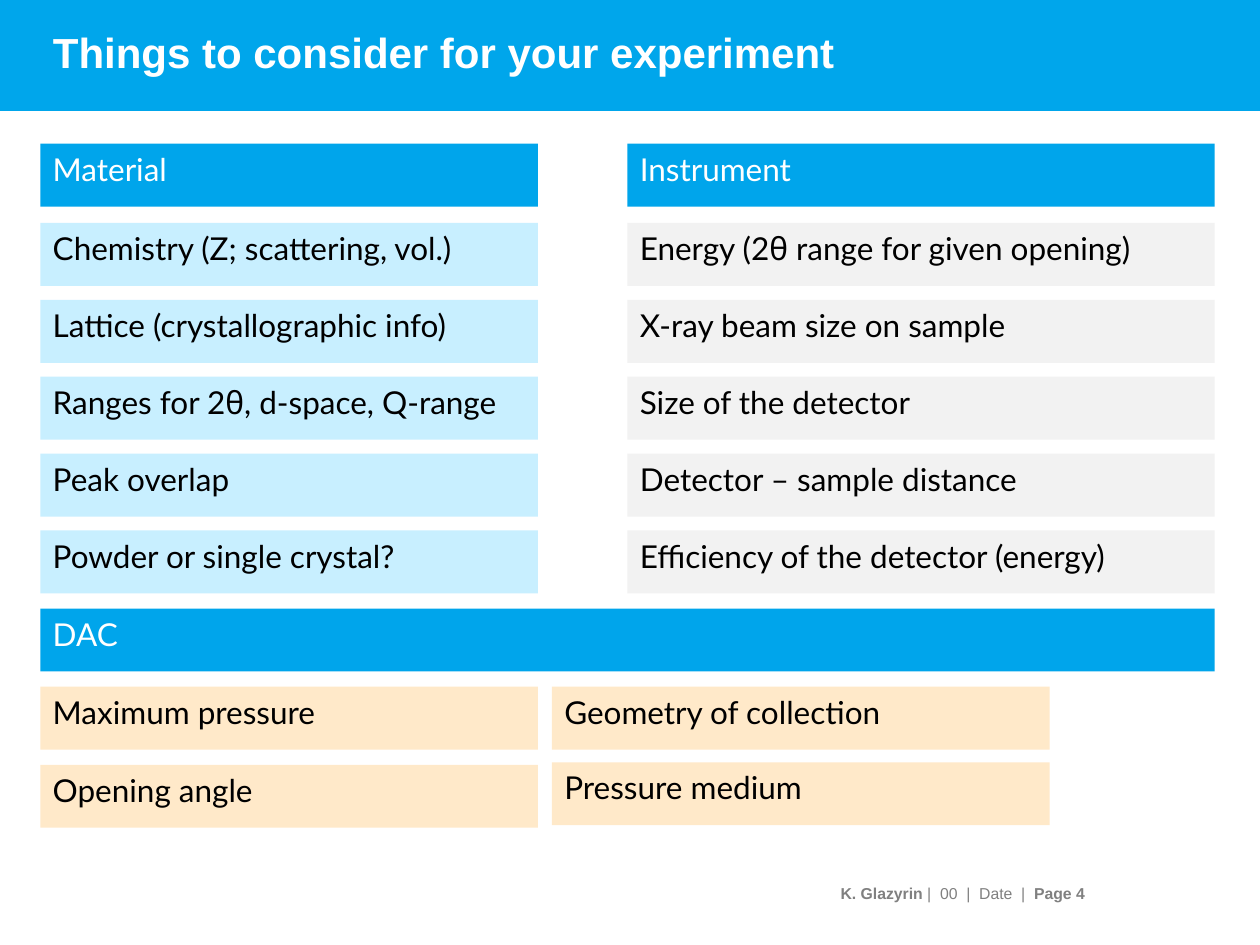
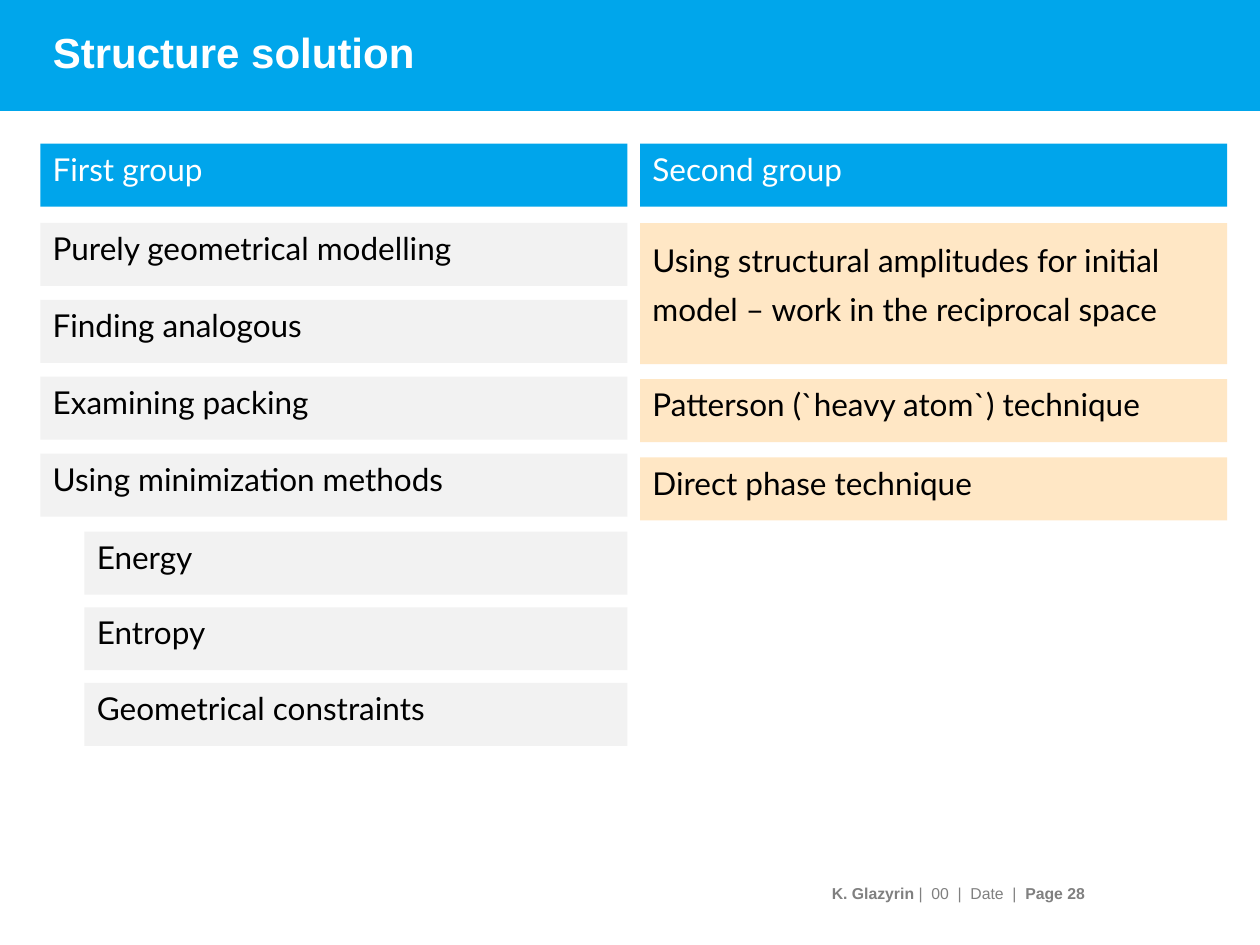
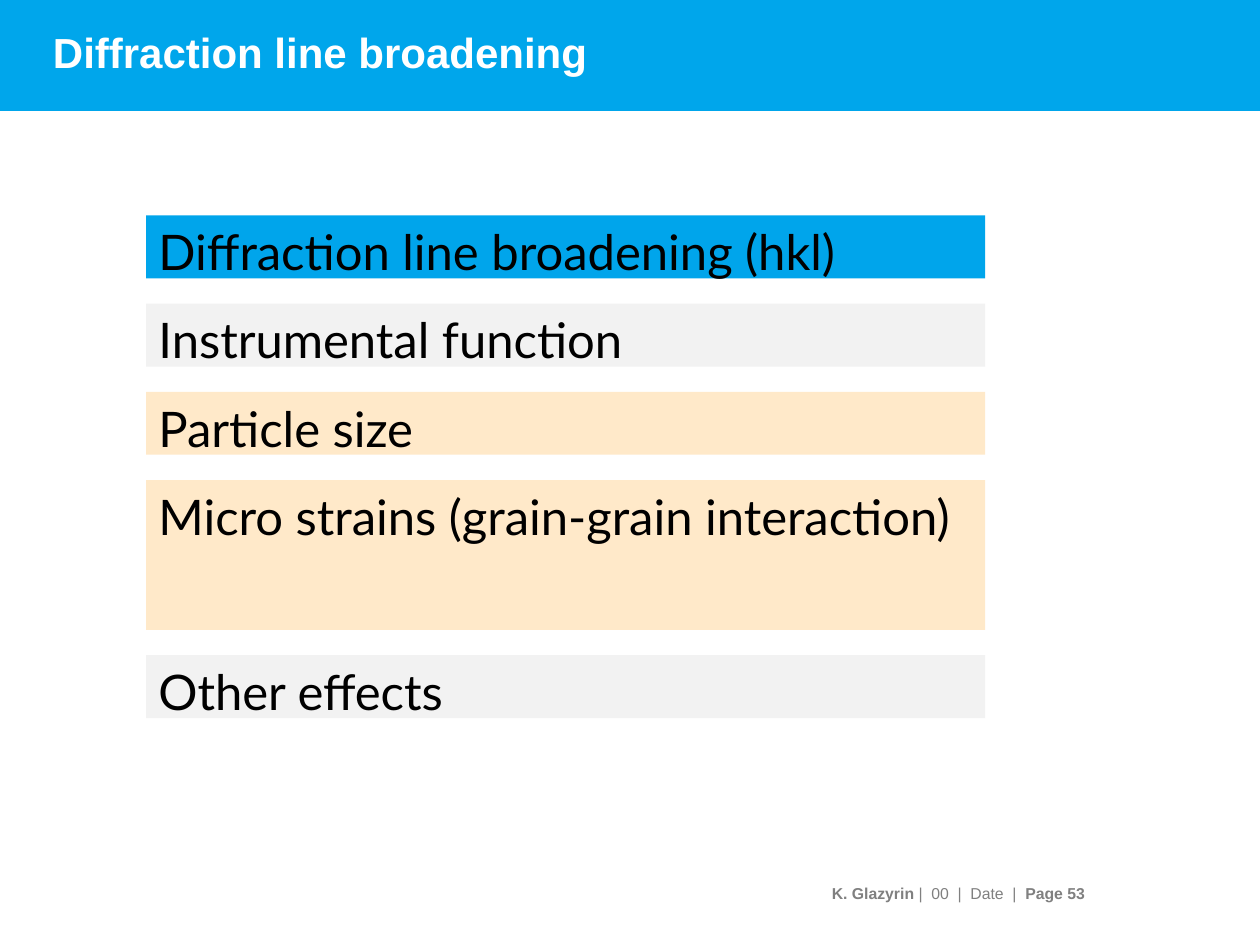
from pptx import Presentation
from pptx.dml.color import RGBColor
from pptx.enum.shapes import MSO_SHAPE as Shape
from pptx.enum.text import MSO_ANCHOR as Anchor, MSO_AUTO_SIZE as Fit, PP_ALIGN as Align
from pptx.util import Inches, Pt

COLORS = {
    "band": "00A6EB", "head": "00A5EB", "sky": "C8EFFF", "gray": "F2F2F2",
    "sand": "FFE9C9", "peach": "FFE7C5", "white": "FFFFFF", "black": "000000",
    "note": "808080",
}
TITLE = {"name": "Arial", "size": Pt(24), "bold": True}
NOTE = {"name": "Arial", "size": Pt(9)}
LEFT, TOP, ROW = 0.32, 1.14, 0.5
FIRST = TOP + 0.63
NARROW, WIDE, FULL = 3.95, 4.66, 9.32
RIGHT, MID = LEFT + WIDE, 4.38
SUB, PAIR = 0.67, 5.08

# A stack is (left, top, width, gap, rows); a row is (text, fill, optional format).
HEAD = {"ink": "white"}
BIG = {"size": 28}
SLIDES = [
    ("Things to consider for your experiment", 4, [
        (LEFT, TOP, NARROW, 0, [("Material", "head", HEAD)]),
        (LEFT, FIRST, NARROW, 0.11, [
            ("Chemistry (Z; scattering, vol.)", "sky"),
            ("Lattice (crystallographic info)", "sky"),
            ("Ranges for 2θ, d-space, Q-range", "sky"),
            ("Peak overlap", "sky"),
            ("Powder or single crystal?", "sky"),
        ]),
        (RIGHT, TOP, WIDE, 0, [("Instrument", "head", HEAD)]),
        (RIGHT, FIRST, WIDE, 0.11, [
            ("Energy (2θ range for given opening)", "gray"),
            ("X-ray beam size on sample", "gray"),
            ("Size of the detector", "gray"),
            ("Detector – sample distance", "gray"),
            ("Efficiency of the detector (energy)", "gray"),
        ]),
        (LEFT, 4.83, FULL, 0, [("DAC", "head", HEAD)]),
        (LEFT, 5.45, NARROW, 0.12, [
            ("Maximum pressure", "sand"), ("Opening angle", "sand")]),
        (MID, 5.45, NARROW, 0.1, [
            ("Geometry of collection", "sand"), ("Pressure medium", "sand")]),
    ]),
    ("Structure solution", 28, [
        (LEFT, TOP, WIDE, 0, [("First group", "head", HEAD)]),
        (LEFT, FIRST, WIDE, 0.11, [
            ("Purely geometrical modelling", "gray"),
            ("Finding analogous", "gray"),
            ("Examining packing", "gray"),
            ("Using minimization methods", "gray"),
        ]),
        (SUB, 4.22, LEFT + WIDE - SUB, 0.1, [
            ("Energy", "gray"),
            ("Entropy", "gray"),
            ("Geometrical constraints", "gray"),
        ]),
        (PAIR, TOP, WIDE, 0, [("Second group", "head", HEAD)]),
        (PAIR, FIRST, WIDE, 0.12, [
            ("Using structural amplitudes for initial model – work in the reciprocal space",
             "peach", {"high": 1.12, "lead": 1.3}),
            ("Patterson (`heavy atom`) technique", "peach"),
            ("Direct phase technique", "peach"),
        ]),
    ]),
    ("Diffraction line broadening", 53, [
        (1.16, 1.71, 6.66, 0.2, [
            ("Diffraction line broadening (hkl)", "head", BIG),
            ("Instrumental function", "gray", BIG),
            ("Particle size", "sand", BIG),
            ("Micro strains (grain-grain interaction)", "sand", BIG | {"high": 1.19}),
            ("Other effects", "gray", BIG),
        ]),
    ]),
]


def shade(name):
    return RGBColor.from_string(COLORS[name])


def place(shape, *box):
    shape.left, shape.top, shape.width, shape.height = map(Inches, box)


def style(font, ink, values):
    font.color.rgb = shade(ink)
    for key, value in values.items():
        setattr(font, key, value)


def add_run(para, text, ink, values):
    run = para.add_run()
    run.text = text
    style(run.font, ink, values)


def add_rect(slide, box, fill):
    rect = slide.shapes.add_shape(Shape.RECTANGLE, *map(Inches, box))
    rect.shadow.inherit = False
    rect.fill.solid()
    rect.fill.fore_color.rgb = shade(fill)
    rect.line.fill.background()
    return rect


def add_row(slide, box, text, fill, ink="black", size=18, lead=None):
    frame = add_rect(slide, box, fill).text_frame
    frame.word_wrap = True
    frame.vertical_anchor = Anchor.TOP
    para = frame.paragraphs[0]
    para.alignment = Align.LEFT
    if lead:
        para.line_spacing = lead
    before, theta, after = text.partition("θ")
    for part, face in (before, "Lato"), (theta, "Karla"), (after, "Lato"):
        if part:
            add_run(para, part, ink, {"name": face, "size": Pt(size)})


def add_stack(slide, left, top, width, gap, rows):
    """Set rows under each other with an equal gap."""
    for text, fill, *more in rows:
        form = dict(more[0]) if more else {}
        high = form.pop("high", ROW)
        add_row(slide, (left, top, width, high), text, fill, **form)
        top += high + gap


def add_frame(slide, text, page):
    """Add what all slides share: band, title and footer."""
    title = slide.shapes.title
    band = add_rect(slide, (0, 0, 10, 0.88), "band")
    title.element.addprevious(band.element)
    place(title, LEFT, 0.11, FULL, 0.6)
    frame = title.text_frame
    frame.text = text
    frame.auto_size = Fit.NONE
    frame.vertical_anchor = Anchor.MIDDLE
    para = frame.paragraphs[0]
    para.alignment = Align.LEFT
    style(para.runs[0].font, "white", TITLE)

    foot = slide.shapes.add_textbox(*map(Inches, (0.31, 6.87, 8.3, 0.44))).text_frame
    foot.word_wrap = True
    foot.vertical_anchor = Anchor.MIDDLE
    foot.margin_right = 0
    para = foot.paragraphs[0]
    para.alignment = Align.RIGHT
    parts = ("K. Glazyrin ", True), ("|  00  |  Date  |  ", False), (f"Page {page}", True)
    for part, bold in parts:
        add_run(para, part, "note", NOTE | {"bold": bold})


def main():
    deck = Presentation()
    deck.slide_width, deck.slide_height = Inches(10), Inches(7.5)
    for title, page, stacks in SLIDES:
        slide = deck.slides.add_slide(deck.slide_layouts[5])
        add_frame(slide, title, page)
        for stack in stacks:
            add_stack(slide, *stack)
    deck.save("out.pptx")


if __name__ == "__main__":
    main()
